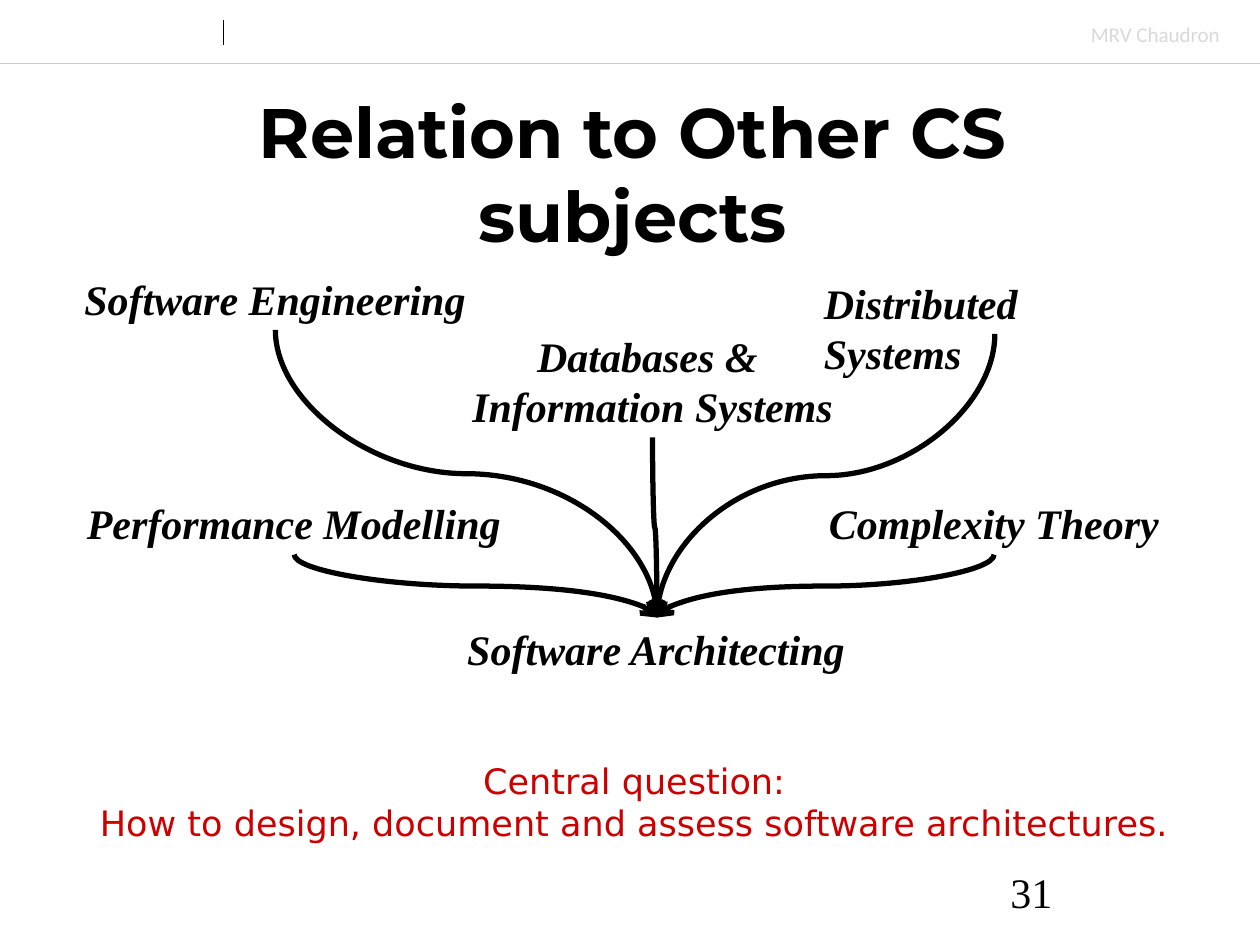
from lxml import etree
from pptx import Presentation
from pptx import util as u
from pptx.dml.color import RGBColor
from pptx.enum import shapes, text
from pptx.oxml import ns

BLACK = "000000"
TITLE = dict(name="Montserrat", size=40, bold=True)
SUBJECT = dict(name="Times New Roman", size=24, bold=True, italic=True)
QUESTION = dict(name="DejaVu Sans", size=20)
PAGE_NUMBER = dict(name="Times New Roman", size=24)
AUTHOR = dict(name="Calibri", size=12)


def color(hex_value):
    return RGBColor.from_string(hex_value)


class SlideBuilder:
    """Holds the current slide and draws on it, with lengths in centimetres."""

    def __init__(self, slide):
        self.slide = slide

    def text(self, lines, left, top, width, height, font, fill=BLACK,
             centered=False, wrap=False, anchor=text.MSO_ANCHOR.TOP):
        shape = self.slide.shapes.add_textbox(
            u.Cm(left), u.Cm(top), u.Cm(width), u.Cm(height))
        frame = shape.text_frame
        frame.word_wrap = wrap
        frame.vertical_anchor = anchor
        frame.text = lines
        for paragraph in frame.paragraphs:
            paragraph.alignment = (text.PP_ALIGN.CENTER if centered
                                   else text.PP_ALIGN.LEFT)
            for key, value in font.items():
                setattr(paragraph.font, key,
                        u.Pt(value) if key == "size" else value)
            paragraph.font.color.rgb = color(fill)
        return shape

    def connector(self, kind, start, end, line_color, weight):
        connector = self.slide.shapes.add_connector(kind, *start, *end)
        connector.line.color.rgb = color(line_color)
        connector.line.width = u.Pt(weight)
        etree.SubElement(connector._element.spPr, ns.qn("a:effectLst"))
        return connector

    def line(self, x1, y1, x2, y2, line_color, weight):
        self.connector(shapes.MSO_CONNECTOR.STRAIGHT, (u.Cm(x1), u.Cm(y1)),
                       (u.Cm(x2), u.Cm(y2)), line_color, weight)

    def curved_arrow(self, source, target):
        """Curve from the bottom centre of source to the top centre of target."""
        x1, y1 = source.left + source.width // 2, source.top + source.height
        x2, y2 = target.left + target.width // 2, target.top
        connector = self.connector(shapes.MSO_CONNECTOR.CURVE, (x1, y1),
                                   (x2, y2), BLACK, 3)
        # A quarter turn makes the curve leave and arrive vertically.
        across, down = abs(x2 - x1), y2 - y1
        connector.left = (x1 + x2 - down) // 2
        connector.top = (y1 + y2 - across) // 2
        connector.width, connector.height = down, across
        transform = connector._element.spPr.find(ns.qn("a:xfrm"))
        goes_right = x2 > x1
        transform.set("rot", str((270 if goes_right else 90) * 60000))
        transform.set("flipH", "1" if goes_right else "0")
        outline = connector.line._get_or_add_ln()
        etree.SubElement(outline, ns.qn("a:tailEnd"), type="arrow")


def main():
    presentation = Presentation()
    presentation.slide_width, presentation.slide_height = u.Cm(25.4), u.Cm(19.05)
    slide = presentation.slides.add_slide(presentation.slide_layouts[6])
    builder = SlideBuilder(slide)

    builder.line(0, 1.27, 25.4, 1.27, "CCCCCC", 0.25)
    builder.line(4.5, 0.41, 4.5, 0.91, BLACK, 0.5)
    builder.text("MRV Chaudron", 21.74, 0.3, 3.12, 0.76, AUTHOR, "D9D9D9")
    builder.text("Relation to Other CS subjects", 1.96, 1.88, 21.59, 3.18, TITLE,
                 centered=True, wrap=True, anchor=text.MSO_ANCHOR.MIDDLE)
    builder.text("31", 20.12, 17.35, 5.28, 1.27, PAGE_NUMBER, wrap=True)

    architecting = builder.text("Software Architecting", 9.17, 12.45, 8.15, 1.27,
                                SUBJECT)
    subjects = [
        ("Software Engineering", 1.45, 5.38, 8.2, 1.27),
        ("Performance Modelling", 1.5, 9.91, 8.86, 1.27),
        ("Distributed Systems", 16.36, 5.46, 7.39, 1.27),
        ("Complexity Theory", 16.46, 9.91, 7.16, 1.27),
        ("Databases & \nInformation Systems", 9.27, 6.53, 7.77, 2.29),
    ]
    for label, *box in subjects:
        subject = builder.text(label, *box, SUBJECT, centered="\n" in label)
        builder.curved_arrow(subject, architecting)

    builder.text("Central question:\n"
                 "How to design, document and assess software architectures.",
                 1.75, 15.19, 22.07, 1.96, QUESTION, "CC0000", centered=True)
    presentation.save("out.pptx")


if __name__ == "__main__":
    main()
